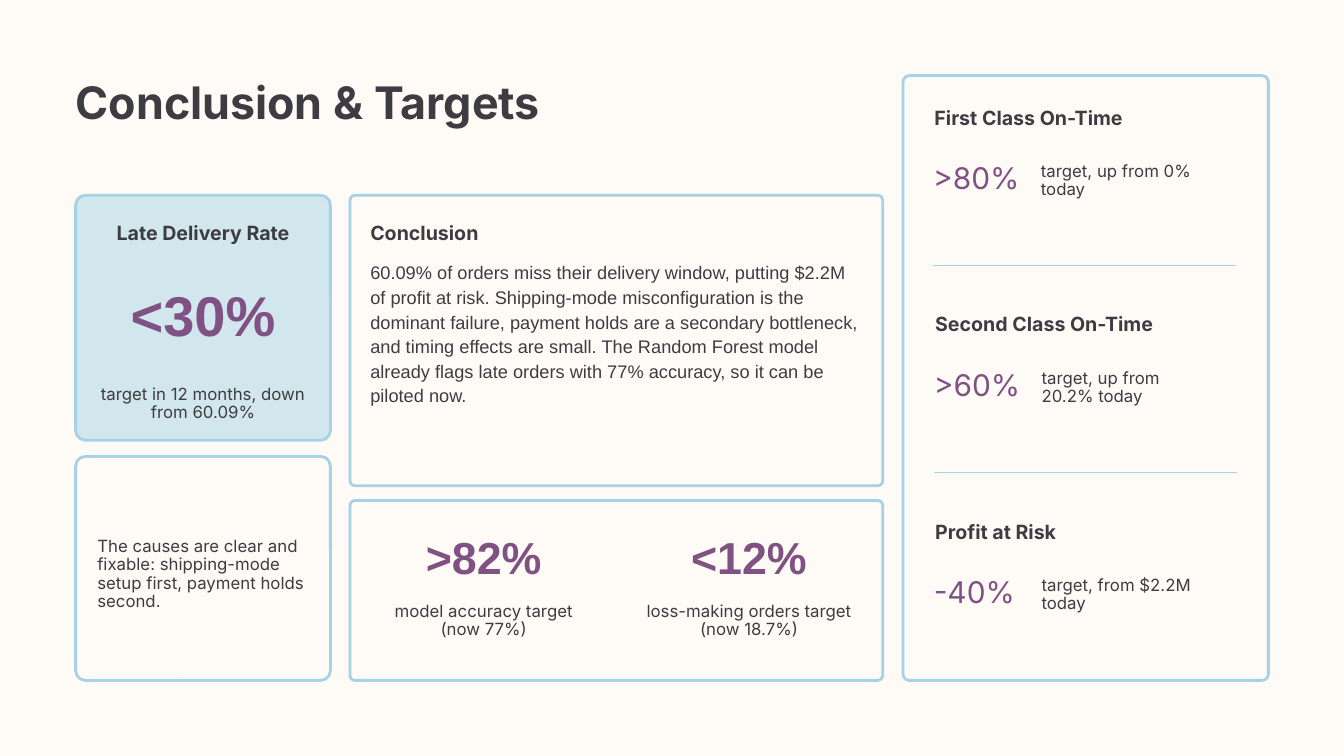
from pptx import Presentation
from pptx.dml.color import RGBColor
from pptx.enum.shapes import MSO_CONNECTOR, MSO_SHAPE
from pptx.enum.text import MSO_ANCHOR, MSO_AUTO_SIZE, PP_ALIGN as Align
from pptx.oxml.ns import qn
from pptx.util import Pt
from lxml import etree

PX = 9525  # EMU per px, 96 px to the inch
COLORS = {name: RGBColor.from_string(value) for name, value in {
    "paper": "FEFBF6", "border": "A6D1E6", "tint": "D2E6EE",
    "ink": "3D3C42", "accent": "7F5283"}.items()}

# Text styles: font, size, bold, colour, line spacing
STYLES = {
    "title": ("Inter", 48, True, "ink", 52.8),
    "heading": ("Inter", 21, True, "ink", 23.1),
    "note": ("Inter", 18, False, "ink", 19.8),
    "target": ("Inter", 32, False, "accent", 35.2),
    "figure": ("Arial", 48, True, "accent", 52.8),
    "hero": ("Arial", 60, True, "accent", 66),
    "body": ("Arial", 19.5, False, "ink", 26.3),
}


def write(box, text, style, align=Align.LEFT):
    font_name, size, bold, color, spacing = STYLES[style]
    frame = box.text_frame
    frame.word_wrap = True
    frame.auto_size = MSO_AUTO_SIZE.SHAPE_TO_FIT_TEXT
    frame.vertical_anchor = MSO_ANCHOR.TOP
    frame.margin_left = frame.margin_right = 0
    frame.margin_top = frame.margin_bottom = 0
    para = frame.paragraphs[0]
    para.text = text
    para.alignment = align
    para.line_spacing = Pt(spacing)
    para.space_before = Pt(0)
    para.font.name = font_name
    para.font.size = Pt(size)
    para.font.bold = bold
    para.font.color.rgb = COLORS[color]


def add_text(left, top, width, height, text, style, align=Align.LEFT):
    box = page.shapes.add_textbox(left * PX, top * PX, width * PX, height * PX)
    write(box, text, style, align)


deck = Presentation()
deck.slide_width, deck.slide_height = 1920 * PX, 1080 * PX
page = deck.slides.add_slide(deck.slide_layouts[5])
page.background.fill.solid()
page.background.fill.fore_color.rgb = COLORS["paper"]

# Title
title = page.shapes.title
title.left, title.top, title.width, title.height = 108 * PX, 113 * PX, 1182 * PX, 71 * PX
write(title, "Conclusion & Targets", "title")

# Panels: left, top, width, height, corner radius, fill
for left, top, width, height, radius, fill in [
    (1290, 108, 522, 864, 9, None),
    (108, 652, 364, 320, 14, None),
    (108, 279, 364, 350, 14, "tint"),
    (500, 715, 761, 257, 7, None),
    (500, 279, 761, 415, 7, None),
]:
    panel = page.shapes.add_shape(MSO_SHAPE.ROUNDED_RECTANGLE, left * PX, top * PX,
                                  width * PX, height * PX)
    panel.adjustments[0] = radius / min(width, height)
    panel.shadow.inherit = False
    if fill:
        panel.fill.solid()
        panel.fill.fore_color.rgb = COLORS[fill]
    else:
        panel.fill.background()
    panel.line.color.rgb = COLORS["border"]
    panel.line.width = Pt(3)

# Dividers between the targets on the right
for left, top in [(1333, 379), (1334, 675)]:
    divider = page.shapes.add_connector(MSO_CONNECTOR.STRAIGHT, left * PX, top * PX,
                                        (left + 433) * PX, top * PX)
    divider.line.color.rgb = COLORS["border"]
    divider.line.width = Pt(1.5)
    etree.SubElement(divider._element.spPr, qn("a:effectLst"))

# Targets on the right
for left, top, heading, target, note in [
    (1333, 154, "First Class On-Time", ">80%", "target, up from 0% today"),
    (1334, 449, "Second Class On-Time", ">60%", "target, up from 20.2% today"),
    (1334, 745, "Profit at Risk", "-40%", "target, from $2.2M today"),
]:
    add_text(left + 2, top, 431, 31, heading, "heading")
    add_text(left, top + 79, 155, 47, target, "target")
    add_text(left + 154, top + 78, 232, 53, note, "note")

# Late delivery rate
add_text(108, 318, 364, 31, "Late Delivery Rate", "heading", Align.CENTER)
add_text(108, 408, 364, 93, "<30%", "hero", Align.CENTER)
add_text(140, 550, 300, 53, "target in 12 months, down from 60.09%", "note", Align.CENTER)

# Causes
add_text(139, 767, 301, 105, "The causes are clear and fixable: shipping-mode setup first, "
         "payment holds second.", "note")

# Conclusion
add_text(529, 319, 431, 31, "Conclusion", "heading")
add_text(529, 370, 700, 211,
         "60.09% of orders miss their delivery window, putting $2.2M of profit at risk. "
         "Shipping-mode misconfiguration is the dominant failure, payment holds are a "
         "secondary bottleneck, and timing effects are small. The Random Forest model "
         "already flags late orders with 77% accuracy, so it can be piloted now.", "body")

# Model and order figures
for left, figure, note in [
    (541, ">82%", "model accuracy target (now 77%)"),
    (920, "<12%", "loss-making orders target (now 18.7%)"),
]:
    add_text(left, 763, 300, 73, figure, "figure", Align.CENTER)
    add_text(left, 860, 300, 53, note, "note", Align.CENTER)

deck.save("out.pptx")
